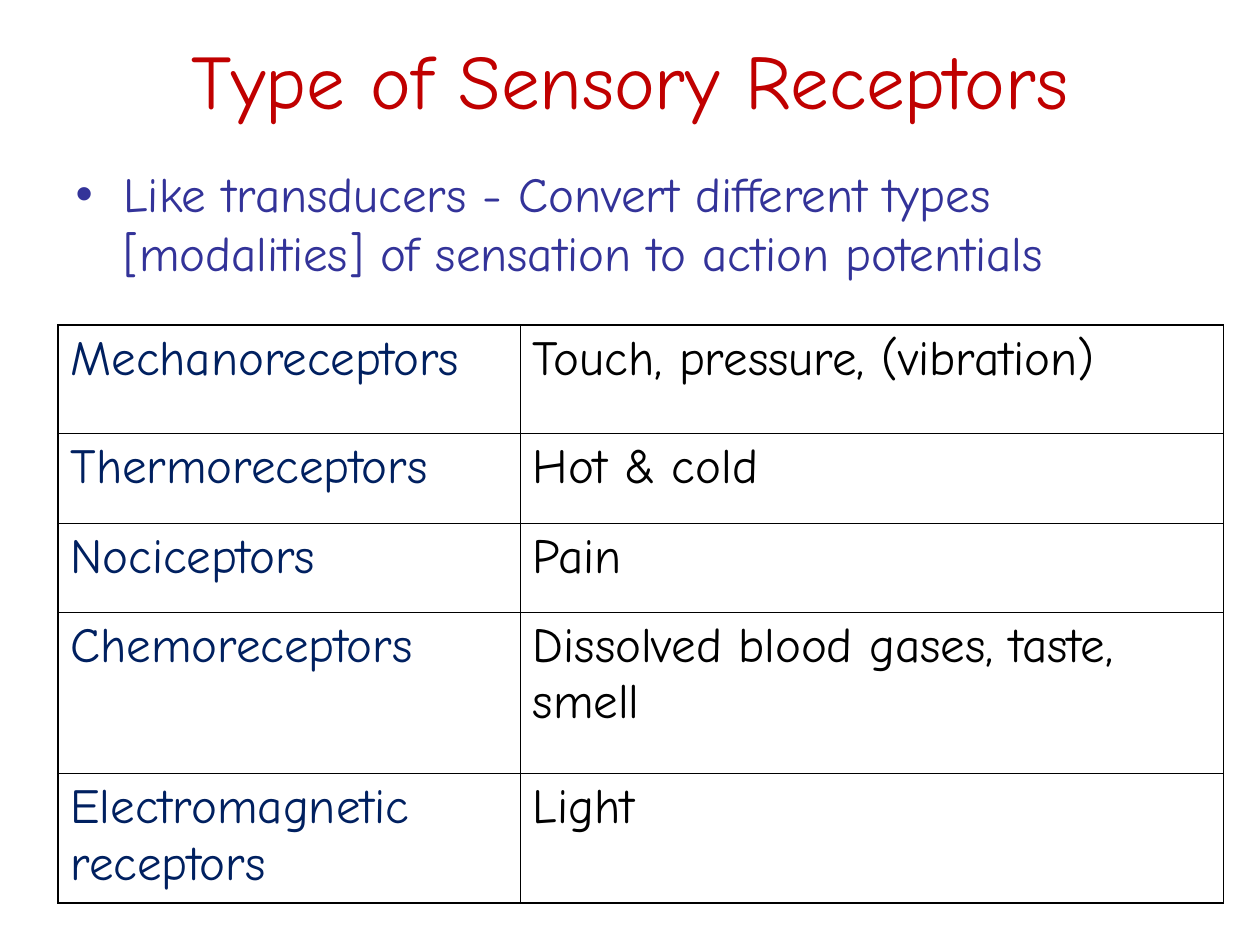
from lxml import etree
from pptx import Presentation
from pptx.dml.color import RGBColor
from pptx.enum import text
from pptx.oxml import ns
from pptx.util import Inches, Pt

FONT = "Comic Neue"
COLORS = {"title": "C00000", "bullet": "333399", "receptor": "002060",
          "stimulus": "000000", "border": "000000", "paper": "FFFFFF"}
THIN, THICK = Pt(0.45), Pt(1.08)


def add_run(p, words, size, color):
    p.space_before = Pt(0)
    r = p.add_run()
    r.text = words
    r.font.name = FONT
    r.font.size = Pt(size)
    r.font.color.rgb = RGBColor.from_string(COLORS[color])


def set_borders(cell, widths):
    """Draw the cell's edges; widths maps L, R, T, B to line widths."""
    tc_pr = cell._tc.get_or_add_tcPr()
    for i, (side, width) in enumerate(widths.items()):
        ln = etree.Element(ns.qn(f"a:ln{side}"), w=str(int(width)))
        fill = etree.SubElement(ln, ns.qn("a:solidFill"))
        etree.SubElement(fill, ns.qn("a:srgbClr"), val=COLORS["border"])
        tc_pr.insert(i, ln)


prs = Presentation()
prs.slide_width, prs.slide_height = Inches(10), Inches(7.5)
s = prs.slides.add_slide(prs.slide_layouts[1])

# Title
sp = s.shapes.title
sp.left, sp.top, sp.width, sp.height = Inches(0.5), Inches(0), Inches(9), Inches(1.25)
sp.fill.solid()
sp.fill.fore_color.rgb = RGBColor.from_string(COLORS["paper"])
tf = sp.text_frame
tf.auto_size = text.MSO_AUTO_SIZE.NONE
tf.vertical_anchor = text.MSO_ANCHOR.MIDDLE
p = tf.paragraphs[0]
p.alignment = text.PP_ALIGN.CENTER
add_run(p, "Type of Sensory Receptors", 44, "title")

# Bulleted statement
sp = s.placeholders[1]
sp.left, sp.top, sp.width, sp.height = Inches(0.5), Inches(1.25), Inches(8.83), Inches(1.58)
tf = sp.text_frame
tf.auto_size = text.MSO_AUTO_SIZE.NONE
p = tf.paragraphs[0]
p_pr = p._p.get_or_add_pPr()
p_pr.set("marL", str(Inches(0.38)))
p_pr.set("indent", str(Inches(-0.38)))
bullet_color = etree.SubElement(p_pr, ns.qn("a:buClr"))
etree.SubElement(bullet_color, ns.qn("a:srgbClr"), val=COLORS["bullet"])
etree.SubElement(p_pr, ns.qn("a:buChar"), char="•")
add_run(p, "Like transducers - Convert different types [modalities] of sensation "
           "to action potentials", 28, "bullet")

# Receptor table: row height, receptor, stimulus
rows = [
    (0.86, "Mechanoreceptors", "Touch, pressure, (vibration)"),
    (0.71, "Thermoreceptors", "Hot & cold"),
    (0.71, "Nociceptors", "Pain"),
    (1.28, "Chemoreceptors", "Dissolved blood gases, taste, smell"),
    (1.03, "Electromagnetic receptors", "Light"),
]
col_widths = [3.67, 5.58]
frame = s.shapes.add_table(len(rows), len(col_widths), Inches(0.46), Inches(2.58),
                           Inches(sum(col_widths)), Inches(sum(row[0] for row in rows)))
table = frame.table
table.first_row = table.horz_banding = False
for column, width in zip(table.columns, col_widths):
    column.width = Inches(width)

last_row, last_col = len(rows) - 1, len(col_widths) - 1
for i, (height, *words) in enumerate(rows):
    table.rows[i].height = Inches(height)
    for j, color in enumerate(("receptor", "stimulus")):
        cell = table.cell(i, j)
        cell.fill.background()
        add_run(cell.text_frame.paragraphs[0], words[j], 28, color)
        # Outer edges are thick, inner ones thin
        set_borders(cell, {"L": THICK if j == 0 else THIN,
                           "R": THICK if j == last_col else THIN,
                           "T": THICK if i == 0 else THIN,
                           "B": THICK if i == last_row else THIN})

prs.save("out.pptx")
